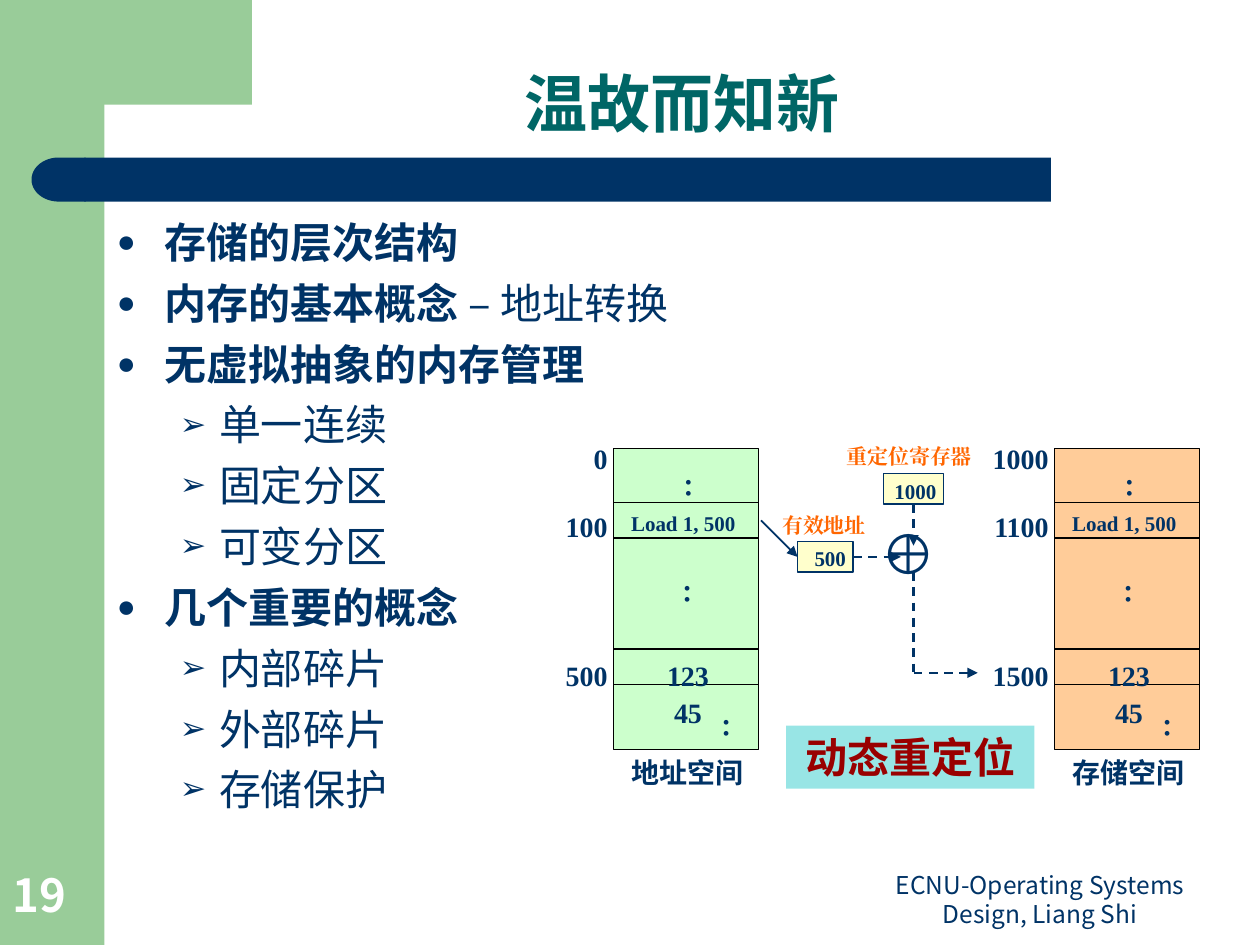
from lxml import etree
from pptx import Presentation
from pptx.dml.color import RGBColor
from pptx.enum.dml import MSO_LINE
from pptx.enum.shapes import MSO_CONNECTOR, MSO_SHAPE
from pptx.enum.text import MSO_ANCHOR, MSO_AUTO_SIZE, PP_ALIGN
from pptx.oxml.ns import qn
from pptx.util import Inches, Pt

RECTANGLE = MSO_SHAPE.RECTANGLE
DELAY = MSO_SHAPE.FLOWCHART_DELAY
STRAIGHT = MSO_CONNECTOR.STRAIGHT
DASH = MSO_LINE.DASH
LEFT, CENTER, RIGHT = PP_ALIGN.LEFT, PP_ALIGN.CENTER, PP_ALIGN.RIGHT
TOP, BOTTOM = MSO_ANCHOR.TOP, MSO_ANCHOR.BOTTOM
GROW = MSO_AUTO_SIZE.SHAPE_TO_FIT_TEXT

SANS, ARIAL, TIMES = "Noto Sans CJK SC", "Arial", "Times New Roman"
NAVY, GREEN, ORANGE, YELLOW, BLACK = "003366", "99CC99", "FF6600", "FFFFCC", "000000"

# Outline points of the corner block, in inches
CORNER = [(2, 0), (2, 0.83), (0.81, 0.83), (0.77, 0.85), (0.71, 0.92),
          (0.68, 1.04), (0.67, 1.16), (0.67, 1.28), (0.5, 1.28), (0.5, 0)]

# Outline level and (text, bold) spans of each line
TOPICS = [
    (0, [("存储的层次结构", True)]),
    (0, [("内存的基本概念 ", True), ("– 地址转换", False)]),
    (0, [("无虚拟抽象的内存管理", True)]),
    (1, [("单一连续", False)]),
    (1, [("固定分区", False)]),
    (1, [("可变分区", False)]),
    (0, [("几个重要的概念", True)]),
    (1, [("内部碎片", False)]),
    (1, [("外部碎片", False)]),
    (1, [("存储保护", False)]),
]
# Bullet character, left margin and hanging indent by level
BULLETS = [("●", 0.38, -0.38), ("➢", 0.81, -0.31)]


def color(value):
    return RGBColor.from_string(value)


def add_span(para, text, size, font, ink, bold):
    span = para.add_run()
    span.text = text
    span.font.size = Pt(size)
    span.font.name = font
    span.font.bold = bold
    span.font.color.rgb = color(ink)
    east_asian = etree.Element(qn("a:ea"), typeface=font)
    span.font._element.find(qn("a:latin")).addnext(east_asian)


def write(shape, text, size=16, font=TIMES, ink=NAVY, bold=True, align=CENTER,
          anchor=TOP, spacing=None, grow=True, wrap=True):
    frame = shape.text_frame
    frame.word_wrap = wrap
    frame.vertical_anchor = anchor
    if grow:
        frame.auto_size = GROW
    para = frame.paragraphs[0]
    para.alignment = align
    if spacing:
        para.line_spacing = spacing
    add_span(para, text, size, font, ink, bold)


def add_text(page, at, text, **form):
    box = page.shapes.add_textbox(*map(Inches, at))
    write(box, text, **form)
    return box


def paint(shape, fill, line=None):
    shape.shadow.inherit = False
    shape.fill.solid()
    shape.fill.fore_color.rgb = color(fill)
    if line:
        shape.line.color.rgb = color(line)
        shape.line.width = Pt(0.75)
    else:
        shape.line.fill.background()


def add_block(page, at, fill, line=None, kind=RECTANGLE):
    shape = page.shapes.add_shape(kind, *map(Inches, at))
    paint(shape, fill, line)
    return shape


def add_line(page, start, end, ink=NAVY, width=1.25, dash=None, arrow=False):
    line = page.shapes.add_connector(STRAIGHT, *map(Inches, start + end))
    line.line.color.rgb = color(ink)
    line.line.width = Pt(width)
    if dash:
        line.line.dash_style = dash
    properties = line._element.spPr
    if arrow:
        etree.SubElement(properties.find(qn("a:ln")), qn("a:tailEnd"), type="triangle")
    etree.SubElement(properties, qn("a:effectLst"))
    return line


def add_bullet(para, level):
    mark, margin, indent = BULLETS[level]
    properties = para._p.get_or_add_pPr()
    properties.set("marL", str(Inches(margin)))
    properties.set("indent", str(Inches(indent)))
    tint = etree.SubElement(properties, qn("a:buClr"))
    etree.SubElement(tint, qn("a:srgbClr"), val=NAVY)
    etree.SubElement(properties, qn("a:buSzPct"), val="75000")
    etree.SubElement(properties, qn("a:buFont"), typeface=ARIAL)
    etree.SubElement(properties, qn("a:buChar"), char=mark)


def add_topics(page):
    box = page.shapes.add_textbox(*map(Inches, (0.83, 1.67, 8.41, 5.17)))
    frame = box.text_frame
    frame.word_wrap = True
    for index, (level, spans) in enumerate(TOPICS):
        para = frame.add_paragraph() if index else frame.paragraphs[0]
        para.level = level
        add_bullet(para, level)
        para.line_spacing = Pt(28.75)
        para.space_before = Pt(6 if index else 0)
        for text, bold in spans:
            add_span(para, text, 24, SANS, NAVY, bold)


def add_background(page):
    add_block(page, (0, 0, 0.83, 7.5), GREEN)
    start, *others = [(Inches(x), Inches(y)) for x, y in CORNER]
    builder = page.shapes.build_freeform(*start)
    builder.add_line_segments(others)
    paint(builder.convert_to_shape(), GREEN)
    add_block(page, (0.67, 1.25, 7.67, 0.35), NAVY)
    add_block(page, (0.25, 1.25, 0.43, 0.35), NAVY, kind=DELAY).rotation = 180


def add_memory(page, left, fill, name, addresses):
    """Draw a column of memory cells with its name below and addresses at its left."""
    add_block(page, (left, 3.56, 1.15, 2.39), fill, BLACK)
    for y in (3.99, 4.27, 5.15, 5.43):
        add_line(page, (left, y), (left + 1.15, y), BLACK, 0.75)
    add_text(page, (left + 0.02, 5.95, 1.13, 0.37), name, font=ARIAL)
    add_text(page, (left + 0.04, 3.98, 1.11, 0.32), "Load 1, 500",
             size=12, align=LEFT, spacing=1.1)
    add_text(page, (left + 0.3, 5.15, 0.58, 0.69), "12345", spacing=1.1)
    for x, y in ((0.24, 3.63), (0.23, 4.47), (0.54, 5.53)):
        add_text(page, (left + x, y, 0.7, 0.4), "∶", spacing=1.1)
    for y, address in zip((3.43, 3.97, 5.15), addresses):
        add_text(page, (left - 0.6, y, 0.65, 0.4), address, align=RIGHT, spacing=1.1)


def add_relocation(page):
    # Registers and adder
    register = add_block(page, (7.01, 3.76, 0.48, 0.24), YELLOW, NAVY)
    effective = add_block(page, (6.33, 4.3, 0.44, 0.24), YELLOW, NAVY)
    add_text(page, (6.89, 4.07, 0.64, 0.64), "⊕", size=32, font=ARIAL,
             bold=False, align=LEFT, wrap=False)

    # Address flow
    add_line(page, (6.04, 4.13), (6.33, 4.42), width=1, arrow=True).end_connect(effective, 1)
    add_line(page, (6.77, 4.42), (7.15, 4.42), dash=DASH, arrow=True).begin_connect(effective, 3)
    add_line(page, (7.25, 4), (7.25, 4.33), dash=DASH, arrow=True).begin_connect(register, 2)
    add_line(page, (7.25, 4.54), (7.25, 5.34), dash=DASH)
    add_line(page, (7.25, 5.34), (7.76, 5.34), dash=DASH, arrow=True)

    # Names and values
    for at, text, ink in (((6.09, 4.02, 0.9, 0.3), "有效地址", ORANGE),
                          ((6.57, 3.47, 1.29, 0.3), "重定位寄存器", ORANGE),
                          ((6.36, 4.28, 0.46, 0.3), "500", NAVY),
                          ((7, 3.75, 0.53, 0.3), "1000", NAVY)):
        add_text(page, at, text, size=12, ink=ink)


def add_caption(page):
    caption = add_block(page, (6.24, 5.76, 1.97, 0.5), "33CCCC")
    tint = caption._element.spPr.find(qn("a:solidFill"))[0]
    etree.SubElement(tint, qn("a:alpha"), val="50000")
    write(caption, "动态重定位", size=24, font=ARIAL, ink="990000")


def main():
    deck = Presentation()
    deck.slide_width, deck.slide_height = Inches(10), Inches(7.5)
    page = deck.slides.add_slide(deck.slide_layouts[6])

    add_background(page)
    add_text(page, (1.16, 0.08, 8.51, 1.09), "温故而知新", size=36, font=SANS,
             ink="006666", anchor=BOTTOM, spacing=0.9, grow=False)
    add_topics(page)

    # Footer and page number
    add_text(page, (6.67, 6.9, 3.17, 0.52), "ECNU-Operating Systems Design, Liang Shi",
             size=14, font=SANS, bold=False, anchor=BOTTOM, spacing=Pt(17), grow=False)
    add_text(page, (0, 6.83, 0.82, 0.53), "19", size=26, font=SANS, ink="FFFFFF",
             align=LEFT, anchor=BOTTOM, grow=False)

    # Dynamic relocation diagram
    add_caption(page)
    add_memory(page, 8.37, "FFCC99", "存储空间", ("1000", "1100", "1500"))
    add_memory(page, 4.87, "CCFFCC", "地址空间", ("0", "100", "500"))
    add_relocation(page)

    deck.save("out.pptx")


if __name__ == "__main__":
    main()
